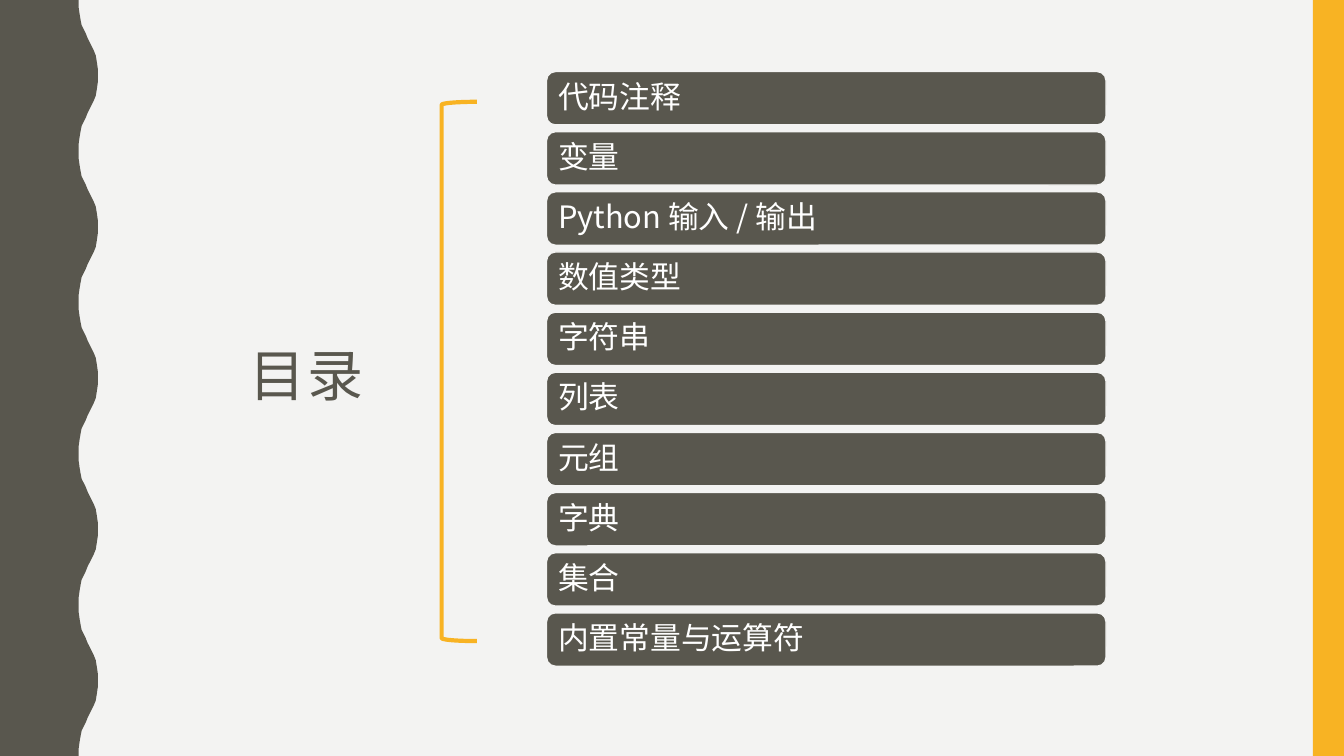
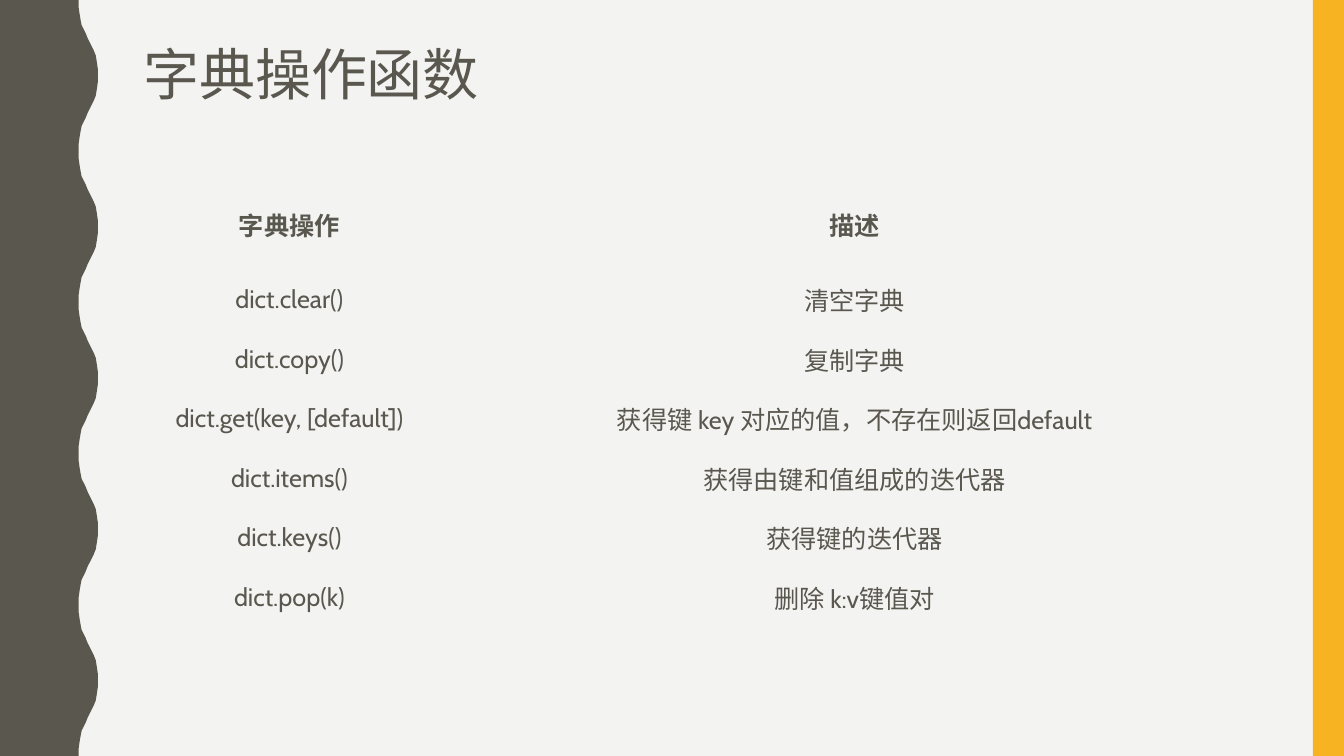
from lxml.etree import SubElement as Sub
from pptx import Presentation
from pptx.dml.color import RGBColor as RGB
from pptx.enum.shapes import MSO_SHAPE as SHAPE
from pptx.enum.text import MSO_ANCHOR as ANCHOR, MSO_AUTO_SIZE as FIT, PP_ALIGN as ALIGN
from pptx.oxml.ns import qn
from pptx.util import Inches, Pt

# Content
TOPICS = ["代码注释", "变量", "Python 输入 / 输出", "数值类型", "字符串",
          "列表", "元组", "字典", "集合", "内置常量与运算符"]
ROWS = [
    ("字典操作", "描述"),
    ("dict.clear()", "清空字典"),
    ("dict.copy()", "复制字典"),
    ("dict.get(key, [default])", "获得键 key 对应的值，不存在则返回default"),
    ("dict.items()", "获得由键和值组成的迭代器"),
    ("dict.keys()", "获得键的迭代器"),
    ("dict.pop(k)", "删除 k:v键值对"),
]

# Shared style
HEX = {"dark": "59574E", "gold": "F8B323", "pale": "F3F3F2", "white": "FFFFFF"}
CJK = "Noto Sans CJK SC"
HEAD = {"name": CJK, "size": Pt(40), "bold": False}
ITEM = {"name": CJK, "size": Pt(22), "bold": False}
CELL = {"name": "Cabin", "size": Pt(18), "bold": False}
PLAIN = "{2D5ABB26-0587-4C30-8999-92F81FD0307C}"  # no style, no grid
WIDE, HIGH = 13.33, 7.5

# One half wave of the left edge: x against y, mirrored for the way back
CREST = [(0.78, 0), (0.78, 0.07), (0.79, 0.14), (0.8, 0.2), (0.81, 0.25),
         (0.83, 0.29), (0.85, 0.33), (0.87, 0.38), (0.89, 0.42), (0.91, 0.46),
         (0.93, 0.5), (0.95, 0.55), (0.96, 0.61), (0.97, 0.68), (0.97, 0.75)]
WAVE = 1.5


def tint(name):
    return RGB.from_string(HEX[name])


def box(*nums):
    return [Inches(n) for n in nums]


def paint(shape, fill=None, line=None, width=1):
    shape.shadow.inherit = False
    if fill:
        shape.fill.solid()
        shape.fill.fore_color.rgb = tint(fill)
    else:
        shape.fill.background()
    if line:
        shape.line.color.rgb = tint(line)
        shape.line.width = Pt(width)
    else:
        shape.line.fill.background()


def write(frame, text, style, color, align=ALIGN.LEFT, lead=None, gap=None):
    para = frame.paragraphs[0]
    para.alignment = align
    para.line_spacing = lead
    run = para.add_run()
    run.text = text
    for key, val in style.items():
        setattr(run.font, key, val)
    run.font.color.rgb = tint(color)
    props = run.font._element
    Sub(props, qn("a:ea")).set("typeface", CJK)
    if gap:
        props.set("spc", str(gap * 100))


def add_title(slide, text, place, anchor, align=ALIGN.LEFT, gap=None):
    title = slide.shapes.title
    title.left, title.top, title.width, title.height = box(*place)
    frame = title.text_frame
    frame.auto_size = FIT.NONE
    frame.vertical_anchor = anchor
    write(frame, text, HEAD, "dark", align, 0.9, gap)


def add_bands(slide, layout):
    """Draw the side bands and hand them to the layout."""
    back = [(x, WAVE - y) for x, y in CREST[-2:0:-1]]
    edge = [(x, y + WAVE * i) for i in range(round(HIGH / WAVE))
            for x, y in CREST + back]
    pen = slide.shapes.build_freeform(0, 0)
    pen.add_line_segments([box(x, y) for x, y in edge + [(0.78, HIGH), (0, HIGH)]])
    wave = pen.convert_to_shape()
    band = slide.shapes.add_shape(SHAPE.RECTANGLE, *box(13.02, 0, 0.31, HIGH))
    for shape, color in ((wave, "dark"), (band, "gold")):
        paint(shape, color)
        layout.shapes.element.append(shape._element)


def add_topics(slide):
    add_title(slide, "目录", (1.69, 0.79, 2.7, 5.93), ANCHOR.MIDDLE, ALIGN.CENTER, 2)
    first, last = 0.71, 6.08
    step = (last - first) / (len(TOPICS) - 1)
    for i, topic in enumerate(TOPICS):
        bar = slide.shapes.add_shape(SHAPE.ROUNDED_RECTANGLE,
                                     *box(5.42, first + i * step, 5.55, 0.53))
        paint(bar, "dark", "pale")
        frame = bar.text_frame
        frame.vertical_anchor = ANCHOR.MIDDLE
        for side in ("left", "top", "right", "bottom"):
            setattr(frame, "margin_" + side, Inches(0.09))
        write(frame, topic, ITEM, "white", lead=0.9)
    brace = slide.shapes.add_shape(SHAPE.LEFT_BRACKET, *box(4.38, 1.01, 0.35, 5.35))
    paint(brace, line="gold", width=3)


def add_methods(slide):
    add_title(slide, "字典操作函数", (1.32, 0.42, 11.91, 1.78), ANCHOR.TOP)
    holder = slide.shapes.add_table(len(ROWS), 2, *box(1.32, 1.77, 11.21, 4.45))
    table = holder.table
    next(holder._element.iter(qn("a:tableStyleId"))).text = PLAIN
    table.first_row = table.horz_banding = False
    for col, width in zip(table.columns, (3.1, 8.11)):
        col.width = Inches(width)
    for i, row in enumerate(ROWS):
        table.rows[i].height = Inches(0.59 if i else 0.91)
        for j, text in enumerate(row):
            cell = table.cell(i, j)
            cell.fill.background()
            cell.vertical_anchor = ANCHOR.MIDDLE
            cell.margin_left = cell.margin_right = Inches(0.09)
            cell.margin_top = cell.margin_bottom = Inches(0.04)
            write(cell.text_frame, text, CELL | {"bold": i == 0}, "dark", ALIGN.CENTER)


def main():
    deck = Presentation()
    deck.slide_width, deck.slide_height = box(WIDE, HIGH)
    layout = deck.slide_layouts[5]
    layout.background.fill.solid()
    layout.background.fill.fore_color.rgb = tint("pale")
    for build in (add_topics, add_methods):
        build(deck.slides.add_slide(layout))
    add_bands(deck.slides[0], layout)
    deck.save("out.pptx")


if __name__ == "__main__":
    main()
